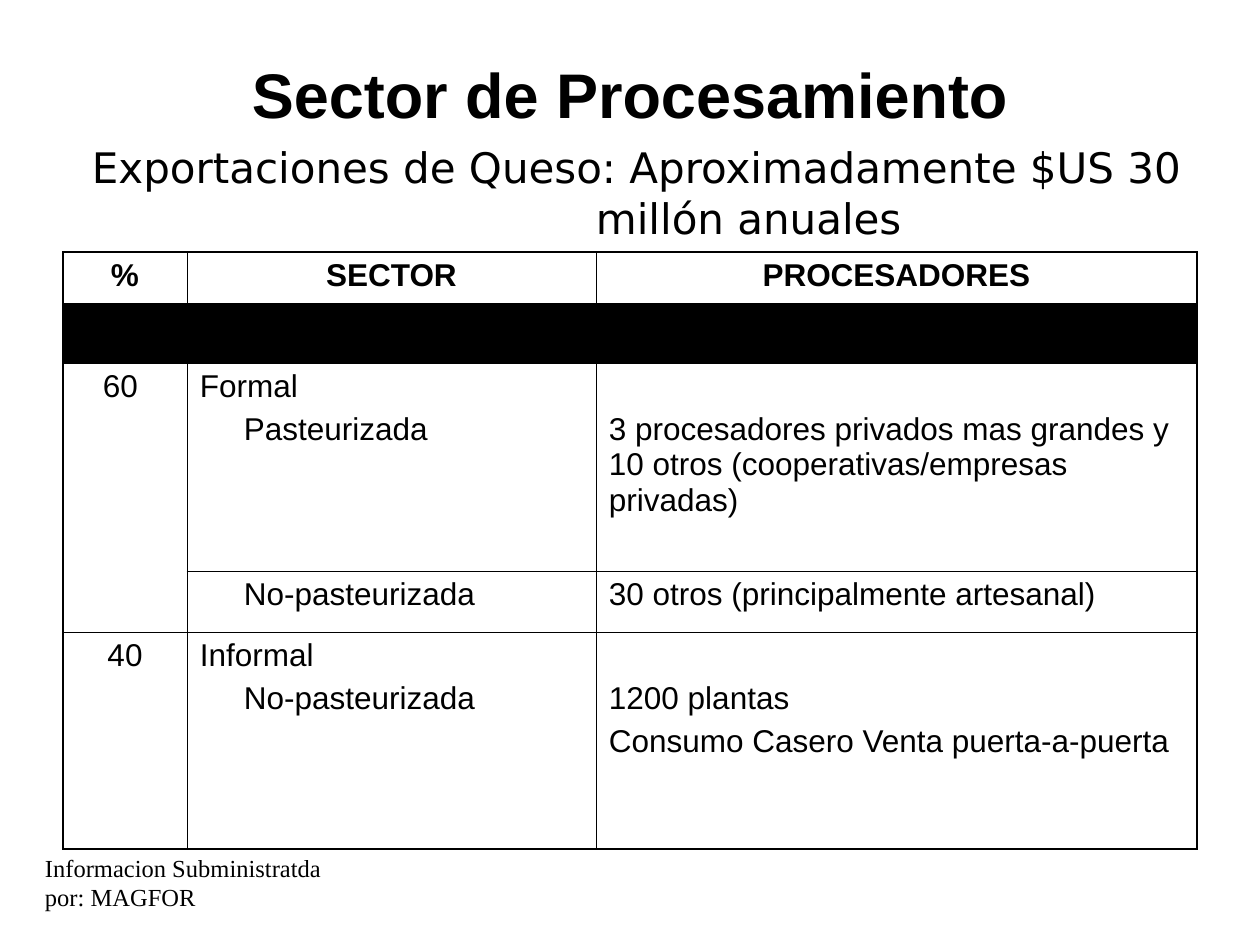
from lxml.etree import SubElement
from pptx import Presentation
from pptx.dml.color import RGBColor
from pptx.enum.text import MSO_ANCHOR, PP_ALIGN
from pptx.oxml.ns import qn
from pptx.util import Emu, Pt

COLORS = {"ink": "000000", "paper": "FFFFFF"}
INSET_X, INSET_Y = 13, 6
HEADING_DROP = 43
SUBTYPE_INDENT = 44
THIN, THICK = 0.45, 1.08


def px(length):
    return Emu(round(length * 914400 / 126))


def color(name):
    return RGBColor.from_string(COLORS[name])


def write(frame, lines, size, font, bold=False, align=PP_ALIGN.LEFT, space=0):
    frame.word_wrap = True
    for index, (text, indent) in enumerate(lines):
        paragraph = frame.paragraphs[0] if index == 0 else frame.add_paragraph()
        paragraph.alignment = align
        if index:
            paragraph.space_before = Pt(space)
        if indent:
            properties = paragraph._p.get_or_add_pPr()
            properties.set("marL", str(px(indent)))
            properties.set("indent", "0")
        run = paragraph.add_run()
        run.text = text
        run.font.size = Pt(size)
        run.font.name = font
        run.font.bold = bold
        run.font.color.rgb = color("ink")


def add_text(slide, box, lines, size, font, bold=False, align=PP_ALIGN.LEFT,
             anchor=MSO_ANCHOR.TOP):
    frame = slide.shapes.add_textbox(*map(px, box)).text_frame
    frame.margin_left = frame.margin_right = px(INSET_X)
    frame.margin_top = frame.margin_bottom = px(INSET_Y)
    frame.vertical_anchor = anchor
    write(frame, lines, size, font, bold, align)


def set_borders(cell, widths):
    properties = cell._tc.get_or_add_tcPr()
    for index, (side, width) in enumerate(widths.items()):
        line = SubElement(properties, qn(f"a:{side}"), w=str(Pt(width)))
        fill = SubElement(line, qn("a:solidFill"))
        SubElement(fill, qn("a:srgbClr"), val=COLORS["ink"])
        properties.insert(index, line)


def add_sector_table(slide, box):
    left, top, width, height = box
    column_widths = [124, 409, width - 124 - 409]
    row_heights = [51, 60, 208, 61, height - 51 - 60 - 208 - 61]
    contents = [
        [["%"], ["SECTOR"], ["PROCESADORES"]],
        [[], [], []],
        [["60"], ["Formal", "Pasteurizada"],
         ["3 procesadores privados mas grandes y 10 otros (cooperativas/empresas privadas)"]],
        [[], ["No-pasteurizada"], ["30 otros (principalmente artesanal)"]],
        [["40"], ["Informal", "No-pasteurizada"],
         ["1200 plantas", "Consumo Casero Venta puerta-a-puerta"]],
    ]
    last_row, last_column = len(row_heights) - 1, len(column_widths) - 1
    sectors = slide.shapes.add_table(
        len(row_heights), len(column_widths), *map(px, box)).table
    sectors.first_row = sectors.horz_banding = False
    for column, column_width in zip(sectors.columns, column_widths):
        column.width = px(column_width)
    for row, row_height in zip(sectors.rows, row_heights):
        row.height = px(row_height)

    for r, row_contents in enumerate(contents):
        for c, texts in enumerate(row_contents):
            cell = sectors.cell(r, c)
            below_heading = c == last_column and len(row_contents[1]) > 1
            cell.margin_left = cell.margin_right = px(INSET_X)
            cell.margin_top = px(INSET_Y + HEADING_DROP * below_heading)
            cell.margin_bottom = px(INSET_Y)
            cell.fill.solid()
            cell.fill.fore_color.rgb = color("ink" if r == 1 else "paper")
            set_borders(cell, {
                "lnL": THICK if c == 0 else THIN,
                "lnR": THICK if c == last_column else THIN,
                "lnT": THICK if r == 0 else THIN,
                "lnB": THICK if r == last_row else THIN,
            })
            lines = [(text, SUBTYPE_INDENT if text.lower().endswith("pasteurizada") else 0)
                     for text in texts]
            centered = r == 0 or c == 0
            write(cell.text_frame, lines, 18, "Arial", r == 0,
                  PP_ALIGN.CENTER if centered else PP_ALIGN.LEFT, 4.5)

    formal_share = sectors.cell(2, 0)
    formal_share.merge(sectors.cell(3, 0))
    formal_share.margin_right = px(INSET_X + 9)


def build_sector_slide(deck):
    slide = deck.slides.add_slide(deck.slide_layouts[6])
    add_text(slide, (63, 38, 1134, 110), [("Sector de Procesamiento", 0)], 36, "Arial",
             True, PP_ALIGN.CENTER, MSO_ANCHOR.MIDDLE)
    add_text(slide, (79, 136, 1144, 113),
             [("Exportaciones de Queso: Aproximadamente $US 30", 0),
              ("millón anuales", 504)], 24, "DejaVu Sans")
    add_text(slide, (32, 847, 340, 72),
             [("Informacion Subministratda por: MAGFOR", 0)], 14, "Times New Roman")
    add_sector_table(slide, (63, 252, 1134, 597))


def main():
    deck = Presentation()
    deck.slide_width, deck.slide_height = px(1260), px(945)
    build_sector_slide(deck)
    deck.save("out.pptx")


if __name__ == "__main__":
    main()
